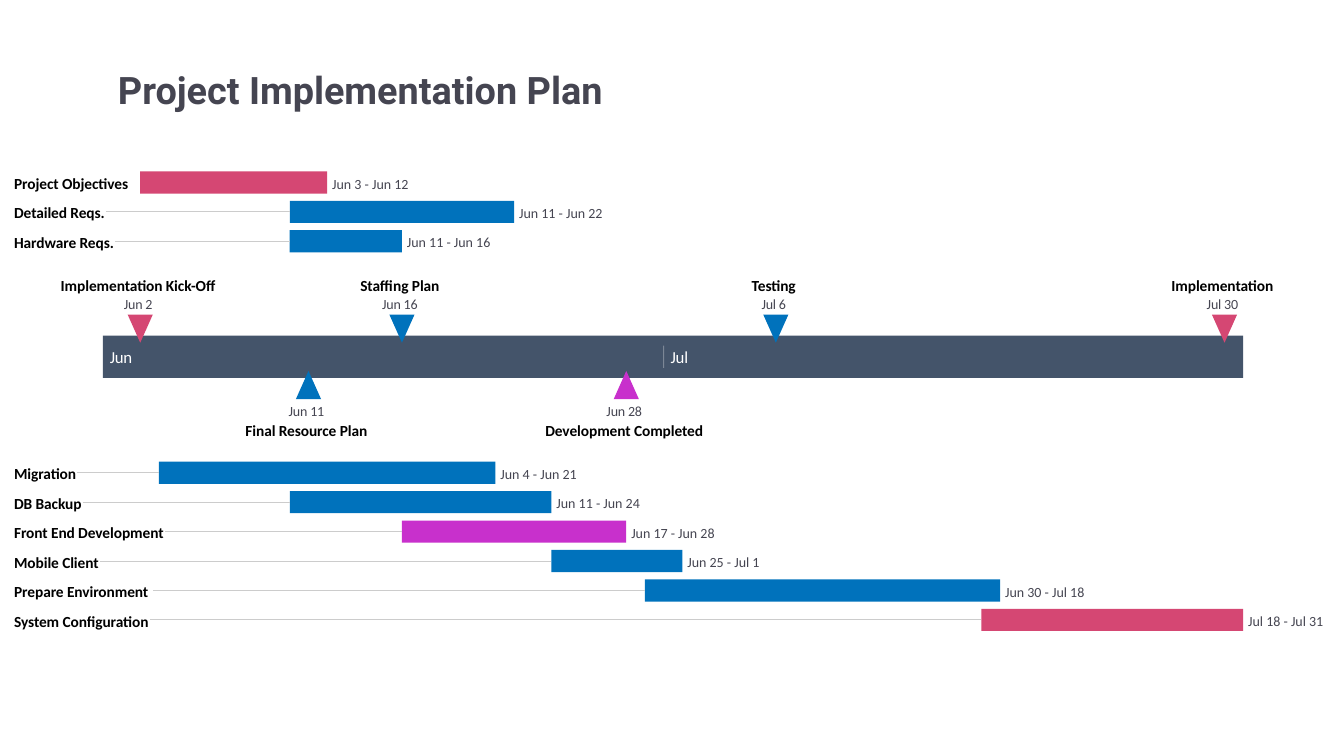
import pptx
import pptx.dml.color
import pptx.enum.shapes
import pptx.enum.text
import pptx.oxml.ns
import pptx.util
from lxml import etree

Inches = pptx.util.Inches
MSO_SHAPE = pptx.enum.shapes.MSO_SHAPE
ALIGN = pptx.enum.text.PP_ALIGN
ANCHOR = pptx.enum.text.MSO_ANCHOR
qn = pptx.oxml.ns.qn

COLORS = {
    "slate": "44546A", "red": "D54773", "blue": "0072BC", "purple": "C830CC",
    "ink": "454551", "black": "000000", "white": "FFFFFF", "guide": "CCCCCC",
}

# Grid: one column per day, 1 June is day 1 and 31 July is day 61
BAND_LEFT, BAND_TOP, BAND_WIDTH, BAND_HEIGHT = 1.02, 3.33, 11.31, 0.42
DAYS = 61
DAY = BAND_WIDTH / DAYS
JULY_START = 31
ROW = 1.46 / 5
BAR_HEIGHT = 0.22
LABEL_LEFT = 0.14
MARKER_WIDTH, MARKER_HEIGHT = 0.25, 0.28

# Top of the first row, then label, label width, first day, last day, dates, colour
task_groups = [
    (1.7, [
        ("Project Objectives", 1.15, 3, 12, "Jun 3 - Jun 12", "red"),
        ("Detailed Reqs.", 0.91, 11, 22, "Jun 11 - Jun 22", "blue"),
        ("Hardware Reqs.", 1.0, 11, 16, "Jun 11 - Jun 16", "blue"),
    ]),
    (4.58, [
        ("Migration", 0.62, 4, 21, "Jun 4 - Jun 21", "blue"),
        ("DB Backup", 0.68, 11, 24, "Jun 11 - Jun 24", "blue"),
        ("Front End Development", 1.5, 17, 28, "Jun 17 - Jun 28", "purple"),
        ("Mobile Client", 0.85, 25, 31, "Jun 25 - Jul 1", "blue"),
        ("Prepare Environment", 1.38, 30, 48, "Jun 30 - Jul 18", "blue"),
        ("System Configuration", 1.35, 48, 61, "Jul 18 - Jul 31", "red"),
    ]),
]

# Marker top, date middle, name middle, rotation, then name, day, date, colour
milestone_groups = [
    (3.12, 3.02, 2.83, 180, [
        ("Implementation Kick-Off", 2, "Jun 2", "red"),
        ("Staffing Plan", 16, "Jun 16", "blue"),
        ("Testing", 36, "Jul 6", "blue"),
        ("Implementation", 60, "Jul 30", "red"),
    ]),
    (3.68, 4.08, 4.27, 0, [
        ("Final Resource Plan", 11, "Jun 11", "blue"),
        ("Development Completed", 28, "Jun 28", "purple"),
    ]),
]

deck = pptx.Presentation()
deck.slide_width, deck.slide_height = Inches(13.33), Inches(7.5)
slide = deck.slides.add_slide(deck.slide_layouts[5])


def add_block(kind, left, top, width, height, color):
    block = slide.shapes.add_shape(
        kind, Inches(left), Inches(top), Inches(width), Inches(height))
    block.shadow.inherit = False
    block.fill.solid()
    block.fill.fore_color.rgb = pptx.dml.color.RGBColor.from_string(COLORS[color])
    block.line.fill.background()
    return block


def add_label(text, x, middle, width, size, color, bold=False, align=ALIGN.LEFT,
              spacing=0):
    """Put one line at x (its left end or its centre) around a middle height."""
    left = x - width / 2 if align == ALIGN.CENTER else x
    box = slide.shapes.add_textbox(
        Inches(left), Inches(middle - 0.1), Inches(width), Inches(0.2))
    frame = box.text_frame
    frame.word_wrap = False
    frame.vertical_anchor = ANCHOR.MIDDLE
    frame.margin_left = frame.margin_right = frame.margin_top = frame.margin_bottom = 0
    frame.paragraphs[0].alignment = align
    run = frame.paragraphs[0].add_run()
    run.text = text
    run.font.name, run.font.size, run.font.bold = "Calibri", pptx.util.Pt(size), bold
    run.font.color.rgb = pptx.dml.color.RGBColor.from_string(COLORS[color])
    run._r.get_or_add_rPr().set("spc", str(spacing))


# Title
title = slide.shapes.title
title.left, title.top = Inches(1.07), Inches(0.39)
title.width, title.height = Inches(6.02), Inches(0.77)
title.text_frame.auto_size = pptx.enum.text.MSO_AUTO_SIZE.NONE
title.text_frame.vertical_anchor = ANCHOR.BOTTOM
heading = title.text_frame.paragraphs[0]
heading.alignment = ALIGN.LEFT
heading_run = heading.add_run()
heading_run.text = "Project Implementation Plan"
heading_run.font.name, heading_run.font.size = "Roboto", pptx.util.Pt(27)
heading_run.font.bold = True
heading_run.font.color.rgb = pptx.dml.color.RGBColor.from_string(COLORS["ink"])

# Month band
add_block(MSO_SHAPE.RECTANGLE, BAND_LEFT, BAND_TOP, BAND_WIDTH, BAND_HEIGHT, "slate")
band_middle = BAND_TOP + BAND_HEIGHT / 2
for month, first_day in (("Jun", 1), ("Jul", JULY_START)):
    add_label(month, BAND_LEFT + (first_day - 1) * DAY + 0.07, band_middle, 0.23, 12,
              "white", spacing=-20)

# Thin lines: the month divider, then one guide from each task label to its bar
divider_x = BAND_LEFT + (JULY_START - 1) * DAY
thin_lines = [(divider_x, 3.43, divider_x, 3.65, "white", 30)]

# Task rows
for first_top, tasks in task_groups:
    for row, (task, label_width, first, last, dates, color) in enumerate(tasks):
        top = first_top + row * ROW
        middle = top + BAR_HEIGHT / 2
        start, end = BAND_LEFT + (first - 1) * DAY, BAND_LEFT + last * DAY
        add_block(MSO_SHAPE.RECTANGLE, start, top, end - start, BAR_HEIGHT, color)
        add_label(task, LABEL_LEFT, middle + 0.01, label_width, 11, "black", bold=True,
                  spacing=-8)
        add_label(dates, end + 0.05, middle + 0.01, 0.83, 10, "ink")
        label_end = LABEL_LEFT + label_width
        if start - label_end > 0.2:
            thin_lines.append((label_end, middle, start, middle, "guide", 100))

for x1, y1, x2, y2, color, opacity in thin_lines:
    thin_line = slide.shapes.add_connector(
        pptx.enum.shapes.MSO_CONNECTOR.STRAIGHT,
        Inches(x1), Inches(y1), Inches(x2), Inches(y2))
    thin_line.line.width = pptx.util.Pt(0.75)
    thin_line.line.color.rgb = pptx.dml.color.RGBColor.from_string(COLORS[color])
    properties = thin_line._element.spPr
    if opacity < 100:
        tint = properties.find(".//" + qn("a:srgbClr"))
        etree.SubElement(tint, qn("a:alpha")).set("val", str(opacity * 1000))
    etree.SubElement(properties, qn("a:effectLst"))

# Milestones
for marker_top, date_middle, name_middle, rotation, milestones in milestone_groups:
    for name, day, date, color in milestones:
        center = BAND_LEFT + day * DAY
        marker = add_block(MSO_SHAPE.ISOSCELES_TRIANGLE, center - MARKER_WIDTH / 2,
                           marker_top, MARKER_WIDTH, MARKER_HEIGHT, color)
        marker.rotation = rotation
        add_label(name, center - 0.02, name_middle, 1.6, 11, "black", bold=True,
                  align=ALIGN.CENTER, spacing=-8)
        add_label(date, center - 0.02, date_middle, 0.38, 10, "ink",
                  align=ALIGN.CENTER, spacing=-10)

deck.save("out.pptx")
